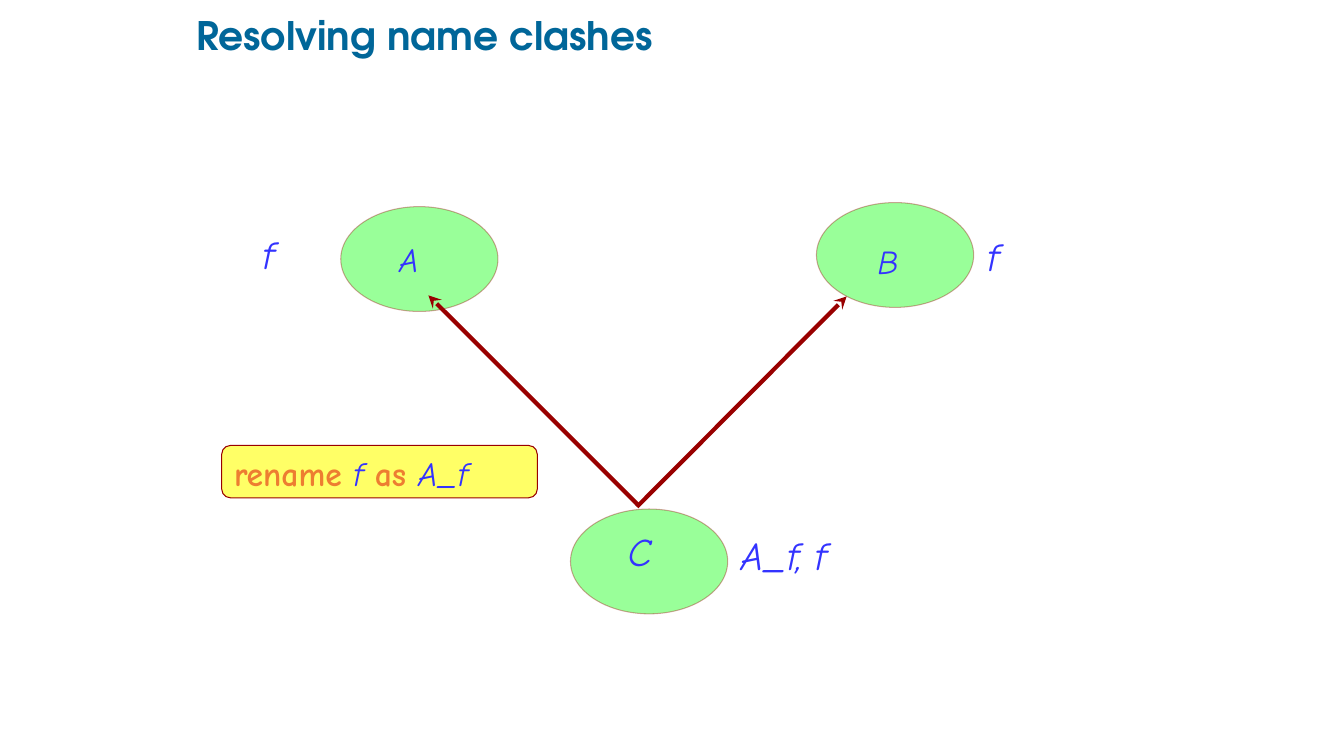
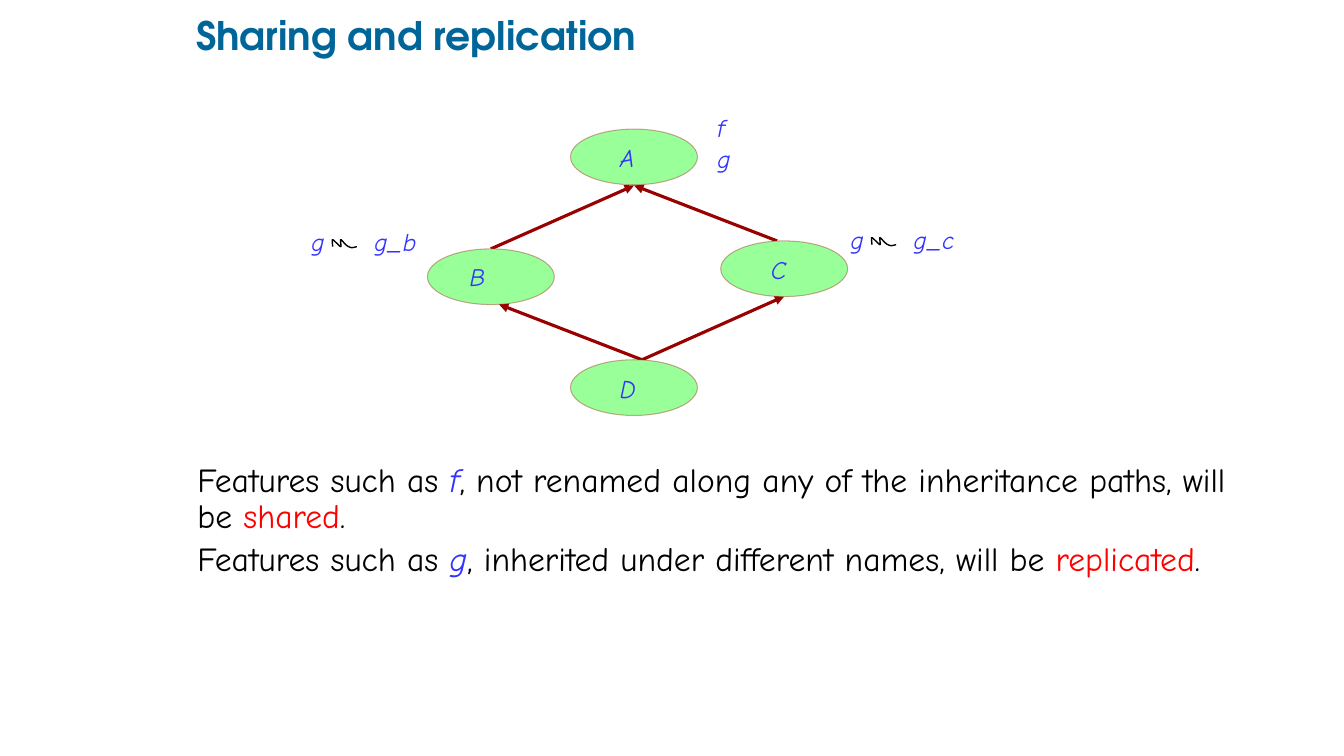
"""Build two slides on name clashes and on sharing in multiple inheritance."""
import pptx
import pptx.util
import pptx.dml.color
import pptx.enum.shapes
import pptx.enum.text
import pptx.oxml
import pptx.oxml.ns

Pt = pptx.util.Pt
SHAPE = pptx.enum.shapes.MSO_SHAPE
ALIGN = pptx.enum.text.PP_ALIGN
ANCHOR = pptx.enum.text.MSO_ANCHOR
qn = pptx.oxml.ns.qn

COLORS = {"title": "006699", "feature": "3333FF", "keyword": "ED7D31", "text": "000000",
          "stress": "FF0000", "node": "99FF99", "edge": "990000", "note": "FFFF66"}
TITLE_FONT, BODY_FONT = "TeX Gyre Adventor", "Comic Neue"
BOLD, ITALIC = {"title", "keyword"}, {"feature"}
TITLE_BOX = (140, 9.4, 626, 34.6)

CLASH = {
    "title": "Resolving name clashes",
    "node_size": (112.3, 74.9),
    "nodes": [(407.5, 363.6), (583.2, 144.7), (243.4, 147.6)],
    "arrows": [((455, 362), (604.8, 211.7)), ((455.8, 360.7), (306, 211))],
    "labels": [
        ("C", (363.6, 373, 187, 37.4), {"size": 28, "align": ALIGN.CENTER}),
        ("B", (578.2, 168.5, 112.3, 37.4), {"size": 24, "align": ALIGN.CENTER}),
        ("A", (278, 167, 112.3, 37.4), {"size": 24}),
        ("f", (698.4, 170, 91.4, 24.5), {"size": 28, "spacing": 0.75}),
        ("f", (180.7, 168.5, 75, 37.4), {"size": 28, "spacing": 0.75}),
        ("A_f, f", (522, 383.8, 150, 37.4), {"size": 28, "spacing": 0.75}),
    ],
}
RENAME_BOX = (158.4, 318.2, 225.4, 37.4)
RENAME = [[("rename ", "keyword"), ("f ", "feature"), ("as ", "keyword"), ("A_f", "feature")]]

SHARING = {
    "title": "Sharing and replication",
    "node_size": (90.7, 39.8),
    "nodes": [(407.5, 92.2), (407.5, 257), (305.3, 177.8), (514.8, 172.1)],
    "arrows": [((350.6, 177.8), (452.9, 132.5)), ((555.1, 172.1), (452.9, 132.5)),
               ((458.6, 257), (560.2, 211.7)), ((458.6, 257), (356.4, 217.4))],
    "labels": [
        ("A", (435.6, 97.9, 39.6, 28.8), {"size": 18}),
        ("B", (328.3, 182.9, 39.6, 28.8), {"size": 18}),
        ("C", (543.6, 177.8, 39.6, 28.8), {"size": 18}),
        ("D", (435.6, 262.8, 39.6, 28.8), {"size": 18}),
        ("f\ng", (505.4, 77, 118.8, 51), {"size": 18}),
    ],
}
RENAMINGS = [("g\tg_b", 215.3, 158.4), ("g\tg_c", 600.5, 157)]
RENAMING_SIZE, RENAMING_TAB = (91.4, 28.8), 45
SQUIGGLE_OFFSET = (21.6, 12.8)
SQUIGGLE = [(0.7, 5), (0.7, 2.2), (0, 0), (0.7, 0), (1.4, 0), (5.8, 5), (6.5, 5), (7.2, 5),
            (5.8, 0), (6.5, 0), (7.2, 0), (10.1, 4.3), (12.2, 5), (14.4, 6.5), (17.3, 5), (18, 5)]
RULES_BOX = (133.9, 327.6, 776, 175)
RULES = [
    [("Features such as ", "text"), ("f", "feature"),
     (", not renamed along any of the inheritance paths, will be ", "text"),
     ("shared", "stress"), (".", "text")],
    [("Features such as ", "text"), ("g", "feature"),
     (", inherited under different names, will be ", "text"),
     ("replicated", "stress"), (".", "text")],
]


def rgb(name):
    return pptx.dml.color.RGBColor.from_string(COLORS[name])


def write(tf, text, size=24, font=BODY_FONT, style="feature", align=ALIGN.LEFT,
          spacing=1.0, before=0, tab=None, anchor=ANCHOR.TOP):
    """Write a string, or lists of (text, style) runs, into a text frame."""
    tf.word_wrap = True
    tf.vertical_anchor = anchor
    paragraphs = [[(line, style)] for line in text.split("\n")] if isinstance(text, str) else text
    for i, runs in enumerate(paragraphs):
        p = tf.add_paragraph() if i else tf.paragraphs[0]
        if tab:
            stops = pptx.oxml.parse_xml(
                '<a:tabLst xmlns:a="http://schemas.openxmlformats.org/drawingml/2006/main">'
                f'<a:tab pos="{Pt(tab)}" algn="l"/></a:tabLst>')
            p._p.get_or_add_pPr().append(stops)
        p.alignment, p.line_spacing = align, spacing
        p.space_before = Pt(before if i else 0)
        for part, kind in runs:
            r = p.add_run()
            r.text = part
            r.font.name, r.font.size = font, Pt(size)
            r.font.bold, r.font.italic = kind in BOLD, kind in ITALIC
            r.font.color.rgb = rgb(kind)


def add_text(s, text, box, **fmt):
    write(s.shapes.add_textbox(*map(Pt, box)).text_frame, text, **fmt)


def add_box(s, kind, box, fill, opacity=None):
    sp = s.shapes.add_shape(kind, *map(Pt, box))
    sp.shadow.inherit = False
    sp.fill.solid()
    sp.fill.fore_color.rgb = rgb(fill)
    sp.line.color.rgb, sp.line.width = rgb("edge"), Pt(0.75)
    if opacity:
        color = sp.line._ln.find(".//" + qn("a:srgbClr"))
        color.makeelement(qn("a:alpha"))
        pptx.oxml.xmlchemy.OxmlElement("a:alpha")
        alpha = pptx.oxml.xmlchemy.OxmlElement("a:alpha")
        alpha.set("val", str(opacity * 1000))
        color.append(alpha)
    return sp


def add_arrow(s, start, end, head, width):
    line = s.shapes.add_connector(pptx.enum.shapes.MSO_CONNECTOR.STRAIGHT,
                                  *map(Pt, start + end))
    line.line.color.rgb, line.line.width = rgb("edge"), Pt(width)
    tail = pptx.oxml.xmlchemy.OxmlElement("a:tailEnd")
    tail.set("type", head)
    line.line._ln.append(tail)
    line._element.spPr.append(pptx.oxml.xmlchemy.OxmlElement("a:effectLst"))


def add_squiggle(s, left, top, steps=8):
    """Draw the chain of cubic curves as a fine polyline."""
    points = []
    for i in range(0, len(SQUIGGLE) - 1, 3):
        curve = SQUIGGLE[i:i + 4]
        for t in (n / steps for n in range(1, steps + 1)):
            weights = ((1 - t) ** 3, 3 * t * (1 - t) ** 2, 3 * t * t * (1 - t), t ** 3)
            x, y = (sum(w * c for w, c in zip(weights, axis)) for axis in zip(*curve))
            points.append((Pt(left + x), Pt(top + y)))
    x, y = SQUIGGLE[0]
    builder = s.shapes.build_freeform(Pt(left + x), Pt(top + y))
    builder.add_line_segments(points, close=False)
    sp = builder.convert_to_shape()
    sp.shadow.inherit = False
    sp.fill.background()
    sp.line.color.rgb, sp.line.width = rgb("text"), Pt(1)


def add_slide(prs, title):
    s = prs.slides.add_slide(prs.slide_layouts[5])
    sp = s.shapes.title
    sp.left, sp.top, sp.width, sp.height = map(Pt, TITLE_BOX)
    tf = sp.text_frame
    tf.auto_size = pptx.enum.text.MSO_AUTO_SIZE.NONE
    tf.margin_left = tf.margin_right = tf.margin_top = tf.margin_bottom = 0
    write(tf, title, size=28, font=TITLE_FONT, style="title", spacing=0.9, anchor=ANCHOR.MIDDLE)
    return s


def add_nodes(s, graph):
    for corner in graph["nodes"]:
        add_box(s, SHAPE.OVAL, corner + graph["node_size"], "node", opacity=34)


def add_arrows(s, graph, head, width):
    for start, end in graph["arrows"]:
        add_arrow(s, start, end, head, width)


def add_labels(s, graph):
    for text, box, fmt in graph["labels"]:
        add_text(s, text, box, **fmt)


def main():
    prs = pptx.Presentation()
    prs.slide_width, prs.slide_height = Pt(960), Pt(540)

    s = add_slide(prs, CLASH["title"])
    write(add_box(s, SHAPE.ROUNDED_RECTANGLE, RENAME_BOX, "note").text_frame, RENAME)
    add_nodes(s, CLASH)
    add_arrows(s, CLASH, "stealth", 3)
    add_labels(s, CLASH)

    s = add_slide(prs, SHARING["title"])
    add_arrows(s, SHARING, "triangle", 2.25)
    add_text(s, RULES, RULES_BOX, spacing=0.9, before=4.8)
    add_nodes(s, SHARING)
    add_labels(s, SHARING)
    for text, left, top in RENAMINGS:
        add_text(s, text, (left, top) + RENAMING_SIZE, size=18, tab=RENAMING_TAB)
        add_squiggle(s, left + SQUIGGLE_OFFSET[0], top + SQUIGGLE_OFFSET[1])

    prs.save("out.pptx")


if __name__ == "__main__":
    main()
